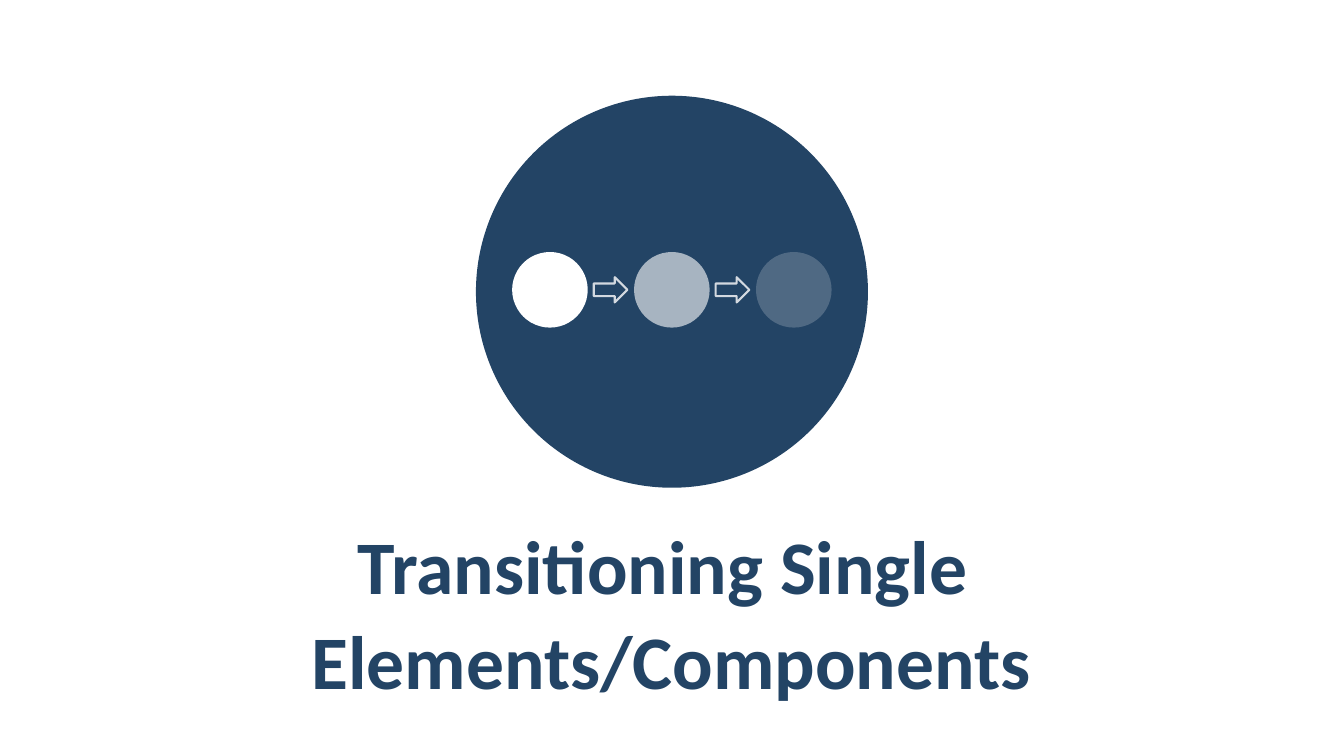
from lxml.etree import SubElement
from pptx import Presentation
from pptx.dml.color import RGBColor
from pptx.enum.shapes import MSO_SHAPE as Shape
from pptx.enum.text import MSO_ANCHOR as Anchor, MSO_AUTO_SIZE as AutoSize, PP_ALIGN as Align
from pptx.oxml.ns import qn
from pptx.util import Pt

NAVY = RGBColor(0x23, 0x44, 0x65)
WHITE = RGBColor(0xFF, 0xFF, 0xFF)


def set_opacity(fill_parent, percent):
    color = fill_parent.find(qn("a:solidFill")).find(qn("a:srgbClr"))
    SubElement(color, qn("a:alpha")).set("val", str(percent * 1000))


def add_filled(kind, left, top, width, height, color):
    filled = slide.shapes.add_shape(kind, Pt(left), Pt(top), Pt(width), Pt(height))
    filled.shadow.inherit = False
    filled.fill.solid()
    filled.fill.fore_color.rgb = color
    filled.line.fill.background()
    return filled


presentation = Presentation()
presentation.slide_width = Pt(960)
presentation.slide_height = Pt(540)
slide = presentation.slides.add_slide(presentation.slide_layouts[5])

add_filled(Shape.OVAL, 340, 68.4, 280, 280, NAVY)

heading = slide.shapes.title
heading.left, heading.top = Pt(48.24), Pt(360)
heading.width, heading.height = Pt(862.56), Pt(151.2)
frame = heading.text_frame
frame.word_wrap = True
frame.auto_size = AutoSize.NONE
frame.vertical_anchor = Anchor.MIDDLE
frame.margin_left = frame.margin_right = Pt(8.64)
frame.margin_top = frame.margin_bottom = Pt(3)
paragraph = frame.paragraphs[0]
paragraph.alignment = Align.CENTER
paragraph.line_spacing = 1.05
paragraph.space_before = paragraph.space_after = Pt(6)
for line_number, words in enumerate(["Transitioning Single ", "Elements/Components"]):
    if line_number:
        paragraph.add_line_break()
    run = paragraph.add_run()
    run.text = words
    run.font.name = "Calibri"
    run.font.size = Pt(54)
    run.font.bold = True
    run.font.color.rgb = NAVY

STAGE_STEP = 87.1
for stage, opacity in enumerate([100, 60, 20]):
    dot = add_filled(Shape.OVAL, 365.8 + stage * STAGE_STEP, 180, 54, 54, WHITE)
    if opacity < 100:
        set_opacity(dot.element.spPr, opacity)

for stage in range(2):
    arrow = add_filled(Shape.RIGHT_ARROW, 424.1 + stage * STAGE_STEP, 198, 24, 18, NAVY)
    arrow.line.color.rgb = WHITE
    arrow.line.width = Pt(1.5)
    set_opacity(arrow.element.spPr.find(qn("a:ln")), 80)

presentation.save("out.pptx")
